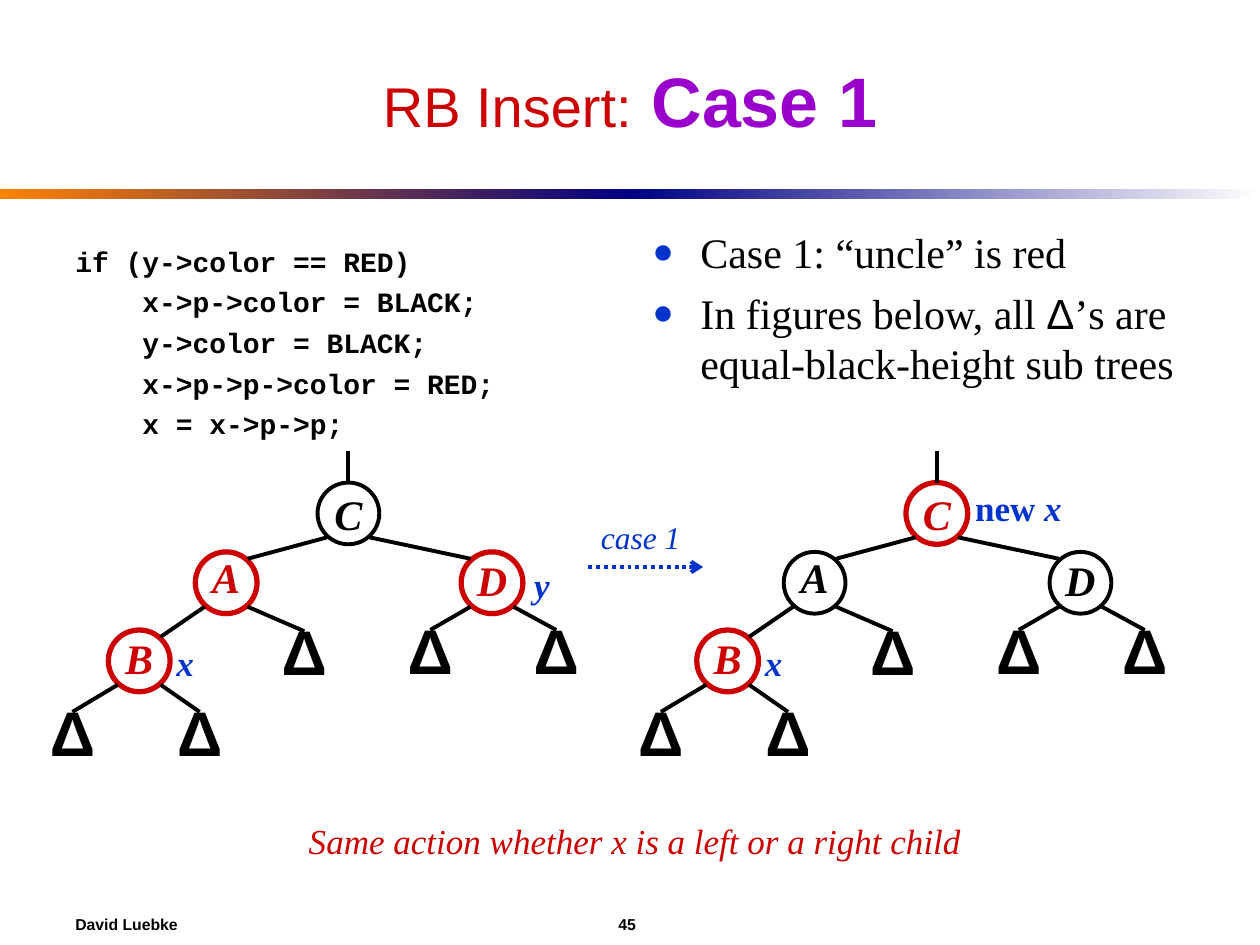
from dataclasses import dataclass
from typing import Optional

from lxml import etree
from pptx import Presentation
from pptx import util as u
from pptx.dml.color import RGBColor
from pptx.enum import dml, shapes, text
from pptx.oxml import parse_xml
from pptx.oxml.ns import nsdecls, qn

COLORS = {"black": "000000", "white": "FFFFFF", "red": "CC0000", "blue": "0033CC",
          "purple": "9900CC", "orange": "FF8200", "navy": "000082"}
SERIF, SANS, MONO = "Times New Roman", "Arial", "Courier New"
CENTER, LEFT = text.PP_ALIGN.CENTER, text.PP_ALIGN.LEFT
SIZE = 0.49            # diameter of a tree node
REACH = (0.17, 0.19)   # from a node's centre to where an edge meets it
TREE_STEP = 4.67       # from the left tree to the right one


@dataclass
class Run:
    text: str
    size: float
    font: str = SERIF
    color: str = "black"
    bold: bool = False
    italic: bool = False


@dataclass
class Node:
    name: str
    x: float
    y: float
    parent: Optional[str] = None
    spacing: float = 0.6
    label: str = "Δ"

    @property
    def leaf(self) -> bool:
        return self.label == "Δ"


TREE = [
    Node("C", 2.52, 3.83, None, 1.0, "C"),
    Node("A", 1.55, 4.38, "C", 0.7, "A"),
    Node("D", 3.66, 4.38, "C", 0.9, "D"),
    Node("B", 0.86, 5.0, "A", 0.9, "B"),
    Node("A right", 2.17, 5.01, "A"),
    Node("D left", 3.17, 5.0, "D"),
    Node("D right", 4.17, 5.0, "D"),
    Node("B left", 0.33, 5.65, "B"),
    Node("B right", 1.34, 5.65, "B"),
]


def rgb(name: str) -> RGBColor:
    return RGBColor.from_string(COLORS[name])


def add_runs(p, runs: list[Run]) -> None:
    for run in runs:
        r = p.add_run()
        r.text = run.text
        f = r.font
        f.size, f.name, f.bold, f.italic = u.Pt(run.size), run.font, run.bold, run.italic
        f.color.rgb = rgb(run.color)


def add_text(s, x: float, y: float, w: float, h: float, paragraphs: list[list[Run]],
             align=CENTER, anchor=text.MSO_ANCHOR.MIDDLE, wrap: bool = False, before: float = 0):
    tf = s.shapes.add_textbox(u.Inches(x), u.Inches(y), u.Inches(w), u.Inches(h)).text_frame
    tf.word_wrap, tf.vertical_anchor = wrap, anchor
    for i, runs in enumerate(paragraphs):
        p = tf.add_paragraph() if i else tf.paragraphs[0]
        p.alignment = align
        if i:
            p.space_before = u.Pt(before)
        add_runs(p, runs)
    return tf


def add_bullet(p) -> None:
    pPr = p._p.get_or_add_pPr()
    pPr.set("marL", str(u.Inches(0.38)))
    pPr.set("indent", str(-u.Inches(0.38)))
    for tag in (f'<a:buClr {nsdecls("a")}><a:srgbClr val="{COLORS["blue"]}"/></a:buClr>',
                f'<a:buSzPct {nsdecls("a")} val="85000"/>',
                f'<a:buFont {nsdecls("a")} typeface="{SERIF}"/>',
                f'<a:buChar {nsdecls("a")} char="●"/>'):
        pPr.append(parse_xml(tag))


def add_line(s, x1: float, y1: float, x2: float, y2: float, color: str = "black"):
    line = s.shapes.add_connector(shapes.MSO_CONNECTOR.STRAIGHT, u.Inches(x1), u.Inches(y1),
                                  u.Inches(x2), u.Inches(y2))
    line.line.color.rgb, line.line.width = rgb(color), u.Pt(2.25)
    etree.SubElement(line._element.spPr, qn("a:effectLst"))
    return line


def add_node(s, node: Node, dx: float, red: bool) -> None:
    sp = s.shapes.add_shape(shapes.MSO_SHAPE.OVAL, u.Inches(node.x + dx), u.Inches(node.y),
                            u.Inches(SIZE), u.Inches(SIZE))
    sp.shadow.inherit = False
    color = "red" if red else "black"
    if node.leaf:
        sp.fill.background()
        sp.line.fill.background()
        run = Run(node.label, 36, SANS, bold=True)
    else:
        sp.fill.solid()
        sp.fill.fore_color.rgb = rgb("white")
        sp.line.color.rgb, sp.line.width = rgb(color), u.Pt(3 if red else 2.25)
        run = Run(node.label, 24, color=color, bold=True, italic=True)
    tf = sp.text_frame
    tf.word_wrap, tf.vertical_anchor = False, text.MSO_ANCHOR.MIDDLE
    p = tf.paragraphs[0]
    p.alignment, p.line_spacing = CENTER, node.spacing
    add_runs(p, [run])


def add_edge(s, parent: Node, child: Node, dx: float) -> None:
    half = SIZE / 2
    side = 1 if child.x > parent.x else -1
    x1, y1 = parent.x + half + side * REACH[0], parent.y + half + REACH[1]
    x2, y2 = child.x + half, child.y
    if not child.leaf:
        x2, y2 = x2 - side * REACH[0], y2 + half - REACH[1]
    add_line(s, x1 + dx, y1, x2 + dx, y2)


def add_tree(s, dx: float, red: str) -> None:
    nodes = {node.name: node for node in TREE}
    for node in TREE:
        add_node(s, node, dx, node.name in red)
    for node in TREE:
        if node.parent:
            add_edge(s, nodes[node.parent], node, dx)
    root = nodes["C"]
    top = root.x + SIZE / 2 + dx
    add_line(s, top, root.y, top, root.y - 0.25)
    add_text(s, 1.3 + dx, 5.04, 0.34, 0.44, [[marker("x")]])


def marker(label: str, italic: bool = True) -> Run:
    return Run(label, 20, color="blue", bold=True, italic=italic)


def add_band(s, x: float, start: str, end: str) -> None:
    sp = s.shapes.add_shape(shapes.MSO_SHAPE.RECTANGLE, u.Inches(x), u.Inches(1.5),
                            u.Inches(5), u.Inches(0.08))
    sp.shadow.inherit = False
    sp.line.fill.background()
    sp.fill.gradient()
    sp.fill.gradient_angle = 0
    for stop, color in zip(sp.fill.gradient_stops, (start, end)):
        stop.color.rgb = rgb(color)


def main() -> None:
    prs = Presentation()
    prs.slide_width, prs.slide_height = u.Inches(10), u.Inches(7.5)
    s = prs.slides.add_slide(prs.slide_layouts[6])

    # Title and divider
    add_band(s, 0, "orange", "navy")
    add_band(s, 5, "navy", "white")
    add_text(s, 0.5, 0.25, 9, 1.08, [[Run("RB Insert:", 32, SANS, "red"), Run(" ", 40, SANS, "red"),
                                      Run("Case 1", 40, SANS, "purple", bold=True)]], wrap=True)

    # Code and bullets
    code = ["if (y->color == RED)", "    x->p->color = BLACK;", "    y->color = BLACK;",
            "    x->p->p->color = RED;", "    x = x->p->p;"]
    add_text(s, 0.5, 1.89, 4.42, 1.77, [[Run(line, 16, MONO, bold=True)] for line in code],
             LEFT, text.MSO_ANCHOR.TOP, True, 4)
    points = [[Run("Case 1: “uncle” is red", 24)],
              [Run("In figures below, all ", 24), Run("Δ", 24, SANS),
               Run("’s are equal-black-height sub trees", 24)]]
    tf = add_text(s, 5.08, 1.75, 4.42, 1.84, points, LEFT, text.MSO_ANCHOR.TOP, True, 6)
    for p in tf.paragraphs:
        add_bullet(p)

    # Trees before and after, with their markers
    add_tree(s, 0, red="ADB")
    add_tree(s, TREE_STEP, red="CB")
    add_text(s, 4.14, 4.42, 0.32, 0.44, [[marker("y")]])
    add_text(s, 7.64, 3.81, 0.89, 0.44, [[marker("new", False), marker(" x")]], LEFT)

    # Transition arrow
    arrow = add_line(s, 4.67, 4.5, 5.58, 4.5, "blue")
    arrow.line.dash_style = dml.MSO_LINE.ROUND_DOT
    etree.SubElement(arrow.line._get_or_add_ln(), qn("a:tailEnd"), type="arrow")
    add_text(s, 4.67, 4.06, 0.83, 0.4, [[Run("case 1", 18, color="blue", italic=True)]])

    # Conclusion and footer
    add_text(s, 2.35, 6.45, 5.38, 0.44, [[Run("Same action whether x is a left or a right child", 20,
                                              color="red", italic=True)]])
    tf = add_text(s, 0.5, 7.17, 9, 0.33, [[Run("David Luebke\t45", 9, SANS, bold=True)]], LEFT, wrap=True)
    tabs = etree.SubElement(tf.paragraphs[0]._p.get_or_add_pPr(), qn("a:tabLst"))
    etree.SubElement(tabs, qn("a:tab"), pos=str(u.Inches(4.31)), algn="l")

    prs.save("out.pptx")


if __name__ == "__main__":
    main()
